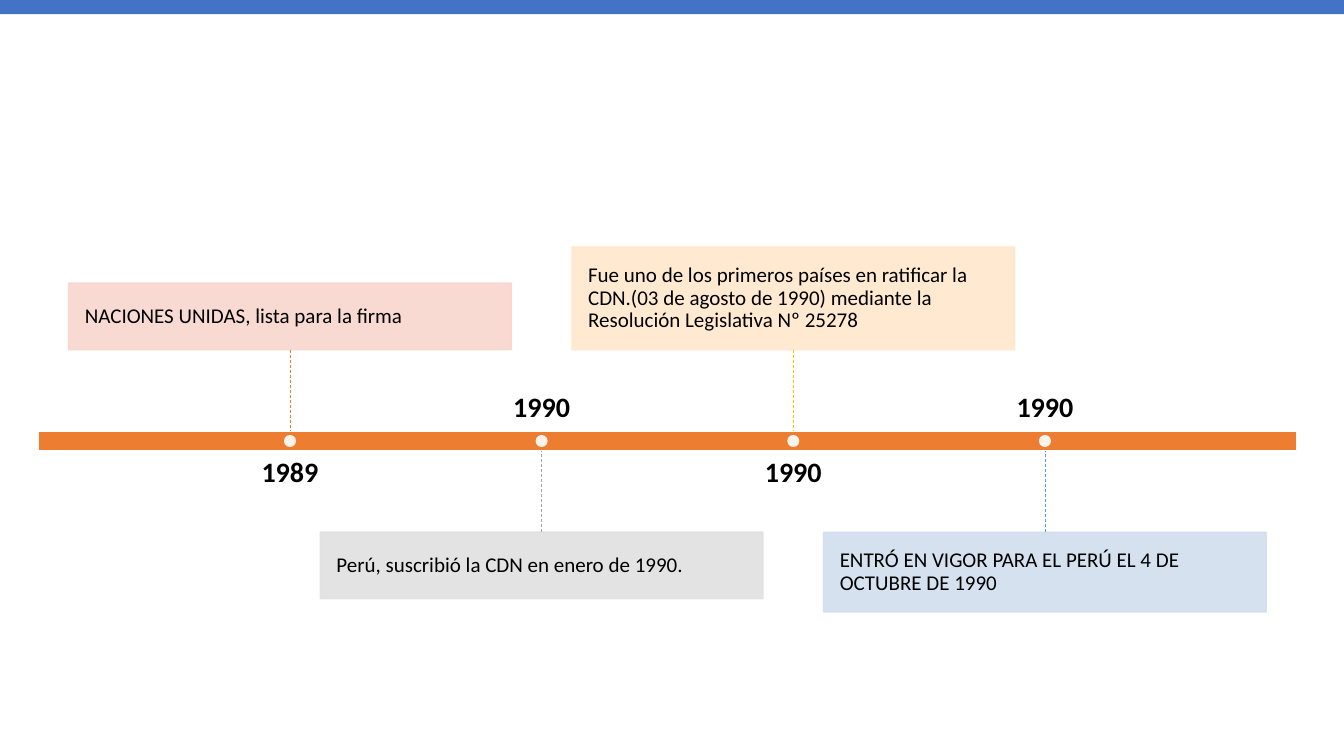
import dataclasses

import lxml.etree
import pptx
import pptx.dml.color
import pptx.enum.dml
import pptx.enum.shapes
import pptx.enum.text
import pptx.oxml.ns
import pptx.util

Inches = pptx.util.Inches
Pt = pptx.util.Pt
MSO_SHAPE = pptx.enum.shapes.MSO_SHAPE
ANCHOR = pptx.enum.text.MSO_ANCHOR
ALIGN = pptx.enum.text.PP_ALIGN

COLORS = {
    "strip": "4472C4",
    "bar": "ED7D31",
    "white": "FFFFFF",
    "black": "000000",
    "rose": "F8D7CE",
    "gray": "E1E1E1",
    "cream": "FFE8CC",
    "sky": "D2DEEF",
    "orange stem": "ED7D31",
    "gray stem": "A5A5A5",
    "gold stem": "FFC000",
    "blue stem": "5B9BD5",
}
FONT = "Calibri"
SLIDE_WIDTH, SLIDE_HEIGHT = 13.33, 7.5
BAR_LEFT, BAR_TOP, BAR_WIDTH, BAR_HEIGHT = 0.38, 4.28, 12.48, 0.19
BAR_BOTTOM = BAR_TOP + BAR_HEIGHT
CARD_WIDTH, CARD_INSET, STEM_LENGTH = 4.39, 0.16, 0.81
YEAR_WIDTH, YEAR_HEIGHT, YEAR_GAP = 3.99, 0.54, 0.08
DOT_SIZE = 0.12


@dataclasses.dataclass(frozen=True)
class Milestone:
    year: str
    event: str
    card_height: float
    card_color: str
    stem_color: str
    card_above: bool


MILESTONES = [
    Milestone("1989", "NACIONES UNIDAS, lista para la firma",
              0.66, "rose", "orange stem", True),
    Milestone("1990", "Perú, suscribió la CDN en enero de 1990.",
              0.66, "gray", "gray stem", False),
    Milestone("1990", "Fue uno de los primeros países en ratificar la CDN."
              "(03 de agosto de 1990) mediante la Resolución Legislativa Nº 25278",
              1.02, "cream", "gold stem", True),
    Milestone("1990", "ENTRÓ EN VIGOR PARA EL PERÚ EL 4 DE OCTUBRE DE 1990",
              0.79, "sky", "blue stem", False),
]


def rgb(name: str) -> pptx.dml.color.RGBColor:
    return pptx.dml.color.RGBColor.from_string(COLORS[name])


def make_translucent(shape) -> None:
    """Give every colour of the shape's fill and line 90 % opacity."""
    for color in shape._element.spPr.iter(pptx.oxml.ns.qn("a:srgbClr")):
        lxml.etree.SubElement(color, pptx.oxml.ns.qn("a:alpha"), val="90000")


def add_block(slide, kind, left: float, top: float, width: float, height: float,
              fill: str, outline: str | None = None):
    block = slide.shapes.add_shape(
        kind, Inches(left), Inches(top), Inches(width), Inches(height))
    block.shadow.inherit = False
    block.fill.solid()
    block.fill.fore_color.rgb = rgb(fill)
    if outline:
        block.line.color.rgb = rgb(outline)
        block.line.width = Pt(1)
    else:
        block.line.fill.background()
    return block


def write(shape, text: str, size: int, bold: bool, inset: float, anchor, align) -> None:
    frame = shape.text_frame
    frame.word_wrap = True
    frame.vertical_anchor = anchor
    frame.margin_left = frame.margin_right = Inches(inset)
    frame.margin_top = frame.margin_bottom = Inches(inset)
    frame.text = text
    paragraph = frame.paragraphs[0]
    paragraph.alignment = align
    paragraph.line_spacing = 0.9
    font = paragraph.runs[0].font
    font.name, font.size, font.bold = FONT, Pt(size), bold
    font.color.rgb = rgb("black")


def add_card(slide, milestone: Milestone, center: float):
    if milestone.card_above:
        top = BAR_TOP - STEM_LENGTH - milestone.card_height
    else:
        top = BAR_BOTTOM + STEM_LENGTH
    card = add_block(slide, MSO_SHAPE.RECTANGLE, center - CARD_WIDTH / 2, top,
                     CARD_WIDTH, milestone.card_height,
                     milestone.card_color, milestone.card_color)
    make_translucent(card)
    write(card, milestone.event, 15, False, CARD_INSET, ANCHOR.MIDDLE, ALIGN.LEFT)
    return card


def add_stem(slide, milestone: Milestone, card, center: float) -> None:
    """Join the card's near side to the edge of the bar."""
    bar_edge = BAR_TOP if milestone.card_above else BAR_BOTTOM
    stem = slide.shapes.add_connector(
        pptx.enum.shapes.MSO_CONNECTOR.STRAIGHT,
        Inches(center), Inches(bar_edge), Inches(center), Inches(bar_edge))
    stem.begin_connect(card, 2 if milestone.card_above else 0)
    stem.line.color.rgb = rgb(milestone.stem_color)
    stem.line.width = Pt(0.5)
    stem.line.dash_style = pptx.enum.dml.MSO_LINE.DASH
    lxml.etree.SubElement(stem._element.spPr, pptx.oxml.ns.qn("a:effectLst"))


def add_year(slide, milestone: Milestone, center: float) -> None:
    """Put the year on the side of the bar that the card leaves free."""
    if milestone.card_above:
        top, anchor = BAR_BOTTOM + YEAR_GAP, ANCHOR.TOP
    else:
        top, anchor = BAR_TOP - YEAR_GAP - YEAR_HEIGHT, ANCHOR.BOTTOM
    year = slide.shapes.add_textbox(
        Inches(center - YEAR_WIDTH / 2), Inches(top),
        Inches(YEAR_WIDTH), Inches(YEAR_HEIGHT))
    write(year, milestone.year, 20, True, 0, anchor, ALIGN.CENTER)


def add_dot(slide, center: float) -> None:
    dot = add_block(slide, MSO_SHAPE.OVAL, center - DOT_SIZE / 2,
                    BAR_TOP + (BAR_HEIGHT - DOT_SIZE) / 2, DOT_SIZE, DOT_SIZE, "white")
    make_translucent(dot)


def main() -> None:
    deck = pptx.Presentation()
    deck.slide_width = Inches(SLIDE_WIDTH)
    deck.slide_height = Inches(SLIDE_HEIGHT)
    slide = deck.slides.add_slide(deck.slide_layouts[6])

    add_block(slide, MSO_SHAPE.RECTANGLE, 0, 0, SLIDE_WIDTH, 0.14, "strip")
    add_block(slide, MSO_SHAPE.RECTANGLE, BAR_LEFT, BAR_TOP,
              BAR_WIDTH, BAR_HEIGHT, "bar", "white")

    step = BAR_WIDTH / (len(MILESTONES) + 1)
    for position, milestone in enumerate(MILESTONES, start=1):
        center = BAR_LEFT + position * step
        card = add_card(slide, milestone, center)
        add_stem(slide, milestone, card, center)
        add_year(slide, milestone, center)
        add_dot(slide, center)

    deck.save("out.pptx")


if __name__ == "__main__":
    main()
